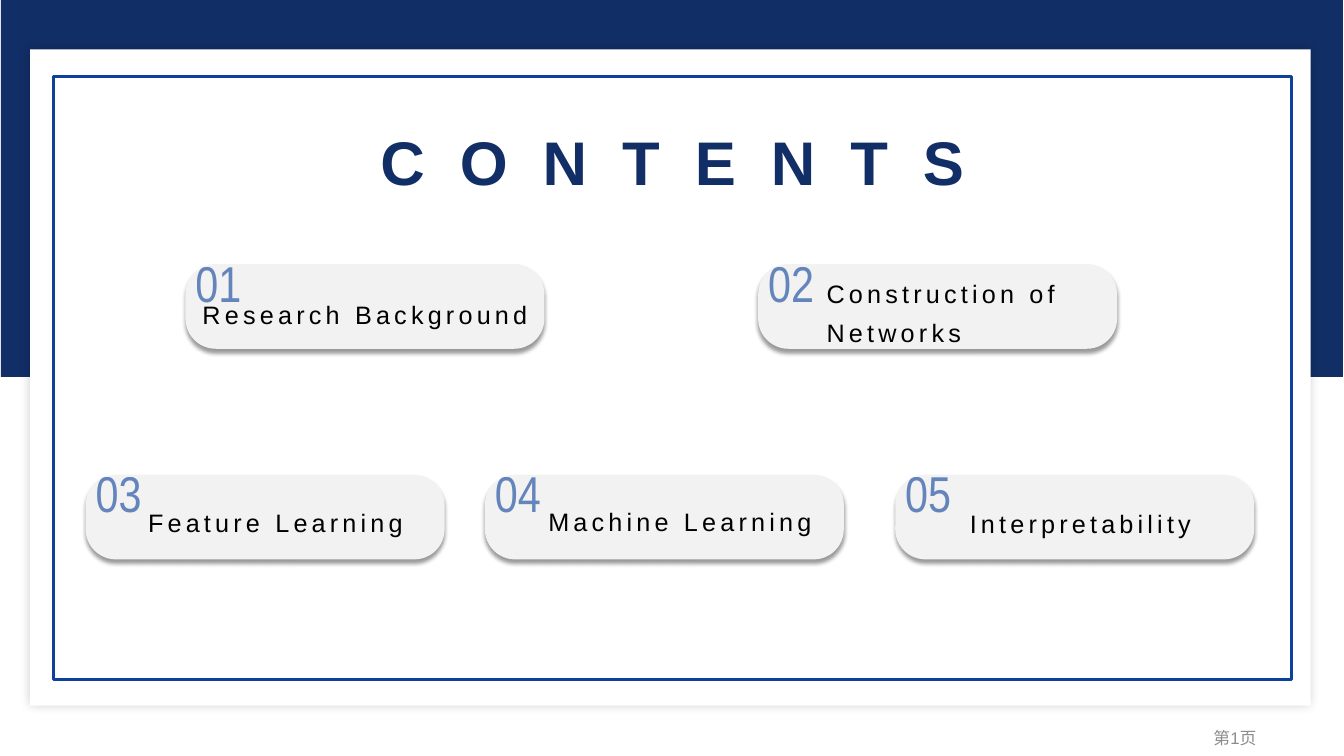
from dataclasses import dataclass

from lxml import etree
from pptx import Presentation
from pptx.dml.color import RGBColor
from pptx.enum.shapes import MSO_SHAPE
from pptx.enum.text import MSO_ANCHOR, MSO_AUTO_SIZE, PP_ALIGN
from pptx.oxml.ns import qn
from pptx.util import Inches, Pt

RECT, ROUND = MSO_SHAPE.RECTANGLE, MSO_SHAPE.ROUNDED_RECTANGLE
LEFT, CENTER, RIGHT = PP_ALIGN.LEFT, PP_ALIGN.CENTER, PP_ALIGN.RIGHT
TOP, MIDDLE = MSO_ANCHOR.TOP, MSO_ANCHOR.MIDDLE
GROW, FIXED = MSO_AUTO_SIZE.SHAPE_TO_FIT_TEXT, MSO_AUTO_SIZE.NONE

NAVY = RGBColor(0x12, 0x2E, 0x66)
BLUE = RGBColor(0x0E, 0x41, 0x9C)
WHITE = RGBColor(0xFF, 0xFF, 0xFF)
PALE = RGBColor(0xF2, 0xF2, 0xF2)
GREY = RGBColor(0x8C, 0x8C, 0x8C)
BLACK = RGBColor(0x00, 0x00, 0x00)

CARD_W, CARD_H = 3.56, 0.84
NUMBER_RISE = 0.35


@dataclass
class Box:
    x: float
    y: float
    w: float
    h: float

    def emu(self) -> list:
        return [Inches(v) for v in (self.x, self.y, self.w, self.h)]


@dataclass
class Style:
    size: int
    color: RGBColor
    font: str = "Arial"
    bold: bool = False
    spacing: int = 0  # points between letters
    alpha: int = 100  # percent


@dataclass
class Shadow:
    alpha: int
    blur: int
    dist: int = 0
    angle: int = 0


@dataclass
class Card:
    number: str
    title: str
    x: float
    y: float
    title_box: Box
    title_fit: MSO_AUTO_SIZE = FIXED


TITLE = Style(44, NAVY, bold=True, spacing=25)
NUMBER = Style(36, BLUE, font="Arial Narrow", alpha=62)
LABEL = Style(18, BLACK, spacing=3)
FOOTER = Style(12, GREY)

ROW1, ROW2 = 2.62, 4.71
CARDS = [
    Card("01", "Research Background", 1.84, ROW1, Box(1.91, 2.83, 3.48, 0.45), GROW),
    Card("02", "Construction of Networks", 7.52, ROW1, Box(8.1, 2.62, 2.74, 0.84)),
    Card("03", "Feature Learning", 0.85, ROW2, Box(1.37, 4.89, 2.87, 0.66)),
    Card("04", "Machine Learning", 4.81, ROW2, Box(5.34, 4.88, 2.87, 0.66)),
    Card("05", "Interpretability", 8.88, ROW2, Box(9.52, 4.9, 2.87, 0.66)),
]


def add_shadow(sp, shadow: Shadow) -> None:
    effects = sp._element.spPr.find(qn("a:effectLst"))
    outer = etree.SubElement(
        effects, qn("a:outerShdw"), blurRad=str(Pt(shadow.blur)),
        dist=str(Pt(shadow.dist)), dir=str(shadow.angle * 60000),
        algn="ctr", rotWithShape="0")
    color = etree.SubElement(outer, qn("a:srgbClr"), val=str(BLACK))
    etree.SubElement(color, qn("a:alpha"), val=str(shadow.alpha * 1000))


def add_panel(shapes, box: Box, fill: RGBColor, kind: MSO_SHAPE = RECT,
              line: RGBColor | None = None, shadow: Shadow | None = None):
    sp = shapes.add_shape(kind, *box.emu())
    sp.shadow.inherit = False
    sp.fill.solid()
    sp.fill.fore_color.rgb = fill
    if line is None:
        sp.line.fill.background()
    else:
        sp.line.color.rgb = line
        sp.line.width = Pt(1.75)
    if shadow:
        add_shadow(sp, shadow)
    return sp


def add_text(shapes, box: Box, text: str, style: Style, align: PP_ALIGN = LEFT,
             anchor: MSO_ANCHOR = TOP, wrap: bool = True,
             fit: MSO_AUTO_SIZE = FIXED) -> None:
    tf = shapes.add_textbox(*box.emu()).text_frame
    tf.word_wrap = wrap
    tf.auto_size = fit
    tf.vertical_anchor = anchor
    p = tf.paragraphs[0]
    p.text = text
    p.alignment = align
    p.line_spacing = 1.3
    p.font.size = Pt(style.size)
    p.font.name = style.font
    p.font.bold = style.bold
    p.font.color.rgb = style.color
    props = p._p.pPr.find(qn("a:defRPr"))
    if style.spacing:
        props.set("spc", str(style.spacing * 100))
    if style.alpha < 100:
        color = props.find(".//" + qn("a:srgbClr"))
        etree.SubElement(color, qn("a:alpha"), val=str(style.alpha * 1000))


def add_card(shapes, card: Card) -> None:
    group = shapes.add_group_shape().shapes
    sp = add_panel(group, Box(card.x, card.y, CARD_W, CARD_H), PALE, ROUND,
                   shadow=Shadow(40, 3, 3, 90))
    sp.adjustments[0] = 0.356
    add_text(group, Box(card.x, card.y - NUMBER_RISE, 0.74, 0.8), card.number,
             NUMBER, wrap=False, fit=GROW)
    add_text(group, card.title_box, card.title, LABEL, fit=card.title_fit)


def main() -> None:
    prs = Presentation()
    prs.slide_width, prs.slide_height = Inches(13.33), Inches(7.5)
    s = prs.slides.add_slide(prs.slide_layouts[6])

    # Page number
    add_text(s.shapes, Box(9.56, 7.09, 3, 0.4), "第1页", FOOTER, RIGHT, MIDDLE)

    # Navy band, white sheet and thin frame
    add_panel(s.shapes, Box(0.01, 0, 13.31, 3.74), NAVY)
    add_panel(s.shapes, Box(0.3, 0.49, 12.7, 6.51), WHITE, shadow=Shadow(20, 8))
    add_panel(s.shapes, Box(0.53, 0.76, 12.28, 5.98), WHITE, line=BLUE)

    # Heading and section cards
    add_text(s.shapes, Box(3.47, 0.96, 6.4, 0.96), "CONTENTS", TITLE, CENTER,
             wrap=False, fit=GROW)
    for card in CARDS:
        add_card(s.shapes, card)

    prs.save("out.pptx")


if __name__ == "__main__":
    main()
